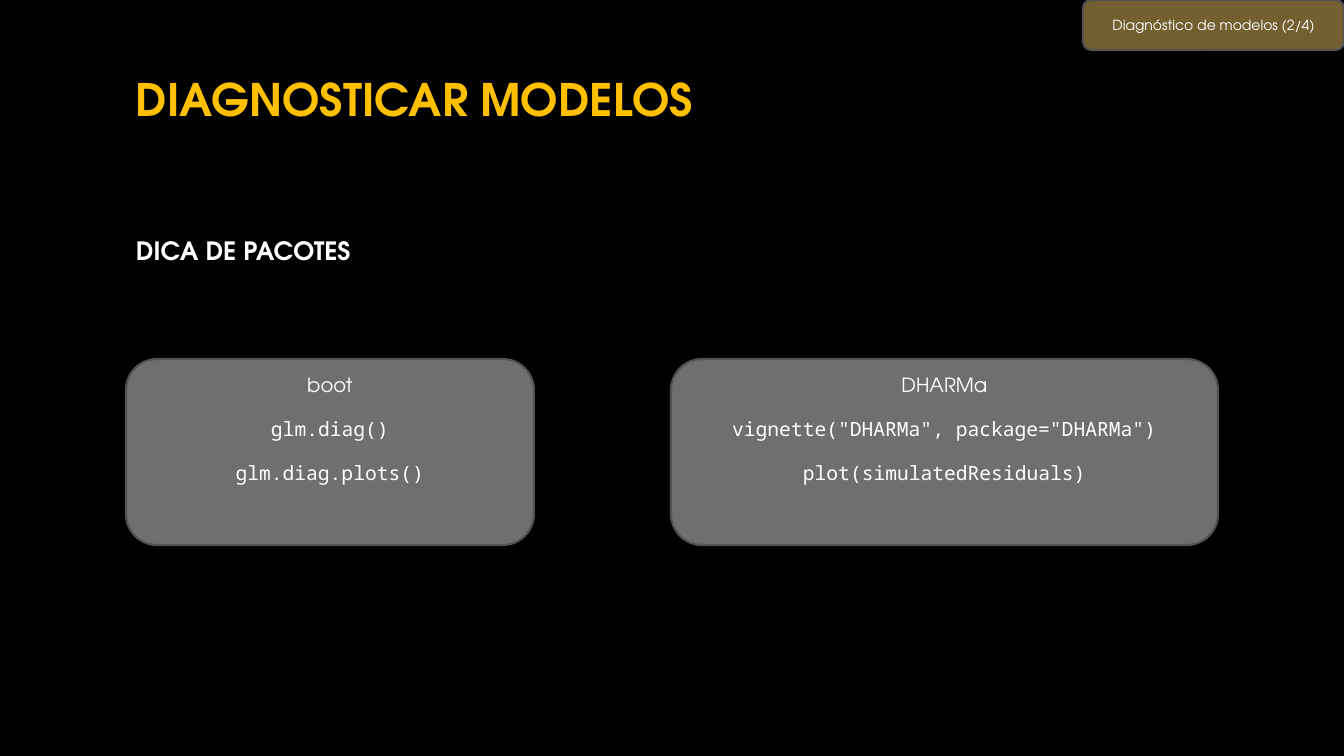
from pptx import Presentation
from pptx.dml.color import RGBColor
from pptx.enum.shapes import MSO_SHAPE as SHAPE
from pptx.enum.text import MSO_ANCHOR as ANCHOR, PP_ALIGN as ALIGN
from pptx.oxml import parse_xml
from pptx.oxml.ns import nsdecls
from pptx.util import Pt

PX = 9071  # EMU in one px, at 100.8 px to the inch
SANS, MONO = "TeX Gyre Adventor", "Noto Sans Mono"


def color(hex_code):
    return RGBColor.from_string(hex_code)


def write(frame, text, size, font=SANS, hex_code="FFFFFF", bold=False,
          align=ALIGN.LEFT, before=0, first=True):
    paragraph = frame.paragraphs[0] if first else frame.add_paragraph()
    paragraph.alignment = align
    if before:
        paragraph.space_before = Pt(before)
    run = paragraph.add_run()
    run.text = text
    run.font.size, run.font.name, run.font.bold = Pt(size), font, bold
    run.font.color.rgb = color(hex_code)


deck = Presentation()
deck.slide_width, deck.slide_height = 1344 * PX, 756 * PX
slide = deck.slides.add_slide(deck.slide_layouts[6])
slide.background.fill.solid()
slide.background.fill.fore_color.rgb = color("000000")

# Title and subtitle
headings = [
    ("DIAGNOSTICAR MODELOS", 32, "FFC000", (126, 67, 1092, 87)),
    ("DICA DE PACOTES", 18, "FFFFFF", (126, 230, 664, 129)),
]
for text, size, hex_code, box in headings:
    heading = slide.shapes.add_textbox(*[n * PX for n in box])
    heading.text_frame.word_wrap = True
    write(heading.text_frame, text, size, hex_code=hex_code, bold=True)

# Section tag and package cards
panels = [
    ((1083, 0, 261, 50), "E7BF5F", ANCHOR.MIDDLE, 10,
     ["Diagnóstico de modelos (2/4)"]),
    ((126, 359, 408, 186), "6F6F6F", ANCHOR.TOP, 14,
     ["boot", "glm.diag()", "glm.diag.plots()"]),
    ((671, 359, 547, 186), "6F6F6F", ANCHOR.TOP, 14,
     ["DHARMa", 'vignette("DHARMa", package="DHARMa")',
      "plot(simulatedResiduals)"]),
]
for box, fill, anchor, size, (label, *calls) in panels:
    panel = slide.shapes.add_shape(SHAPE.ROUNDED_RECTANGLE,
                                   *[n * PX for n in box])
    panel.shadow.inherit = False
    panel.fill.solid()
    panel.fill.fore_color.rgb = color(fill)
    panel.line.color.rgb = color("525252")
    panel.line.width = Pt(1.5)
    frame = panel.text_frame
    frame.word_wrap = True
    frame.vertical_anchor = anchor
    write(frame, label, size, align=ALIGN.CENTER)
    for call in calls:
        write(frame, call, size, font=MONO, align=ALIGN.CENTER,
              before=14.5, first=False)
    # The section tag, which lists no calls, is half transparent
    if not calls:
        tint = panel.fill._xPr.find(".//{*}srgbClr")
        tint.append(parse_xml(f'<a:alpha {nsdecls("a")} val="50000"/>'))

deck.save("out.pptx")
